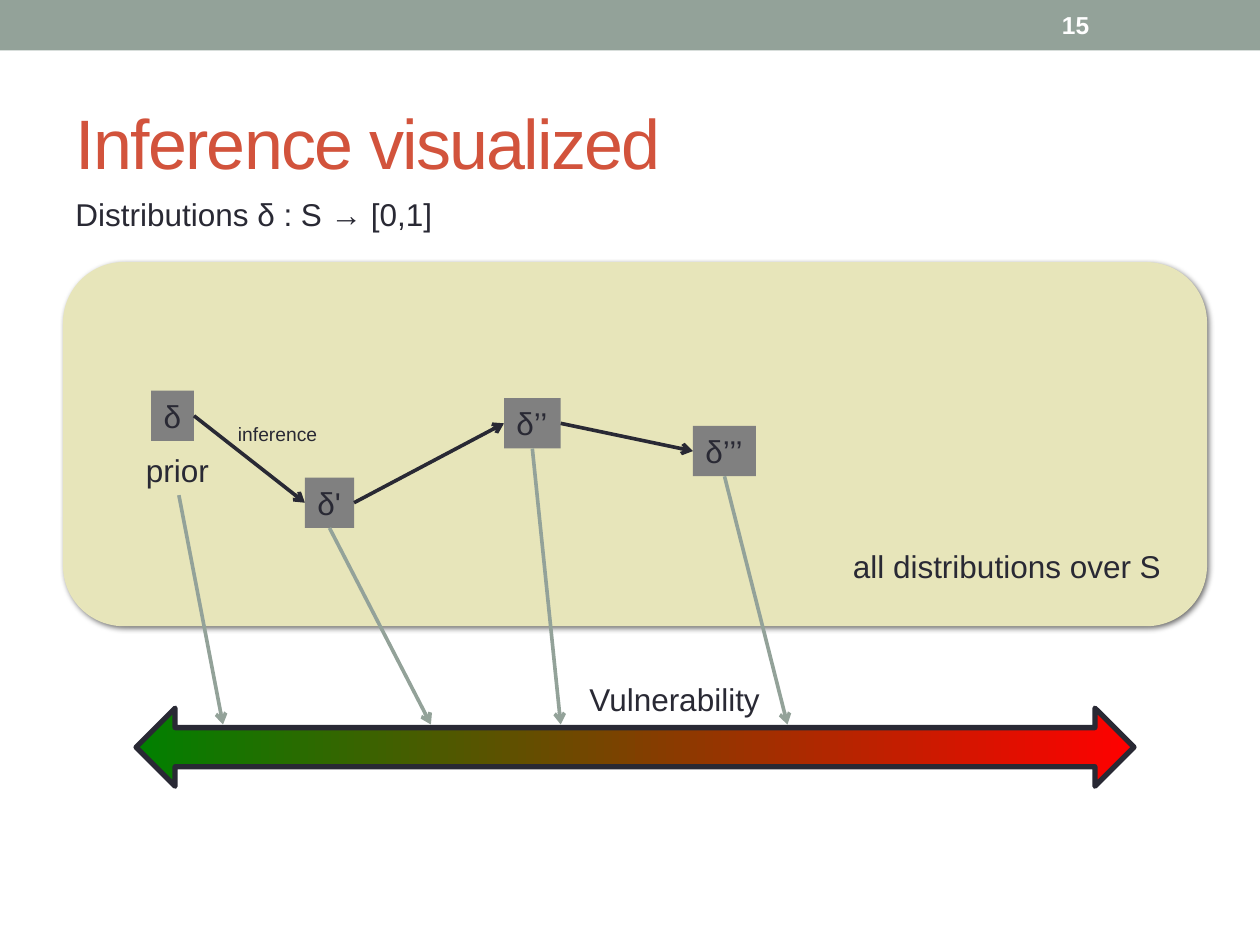
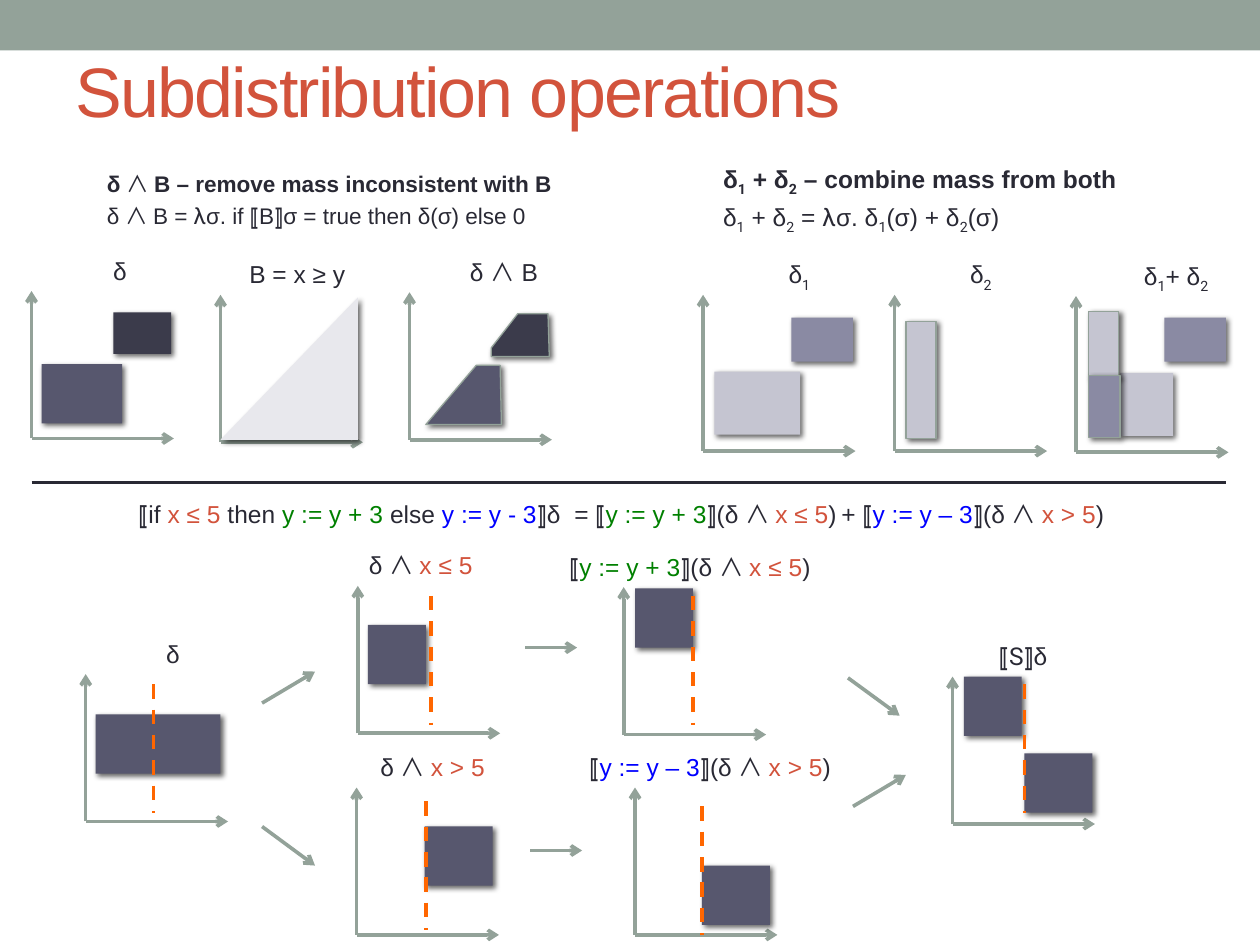
from lxml.etree import SubElement as Sub
from pptx import Presentation
from pptx.dml.color import RGBColor as Rgb
from pptx.enum.dml import MSO_LINE as Dash
from pptx.enum.shapes import MSO_CONNECTOR as Link, MSO_SHAPE as Geo
from pptx.enum.text import MSO_ANCHOR as Anchor, MSO_AUTO_SIZE as Auto, PP_ALIGN as Align
from pptx.oxml.ns import qn
from pptx.util import Inches, Pt

INK = {
    "text": "292934", "title": "D2533C", "band": "93A299", "white": "FFFFFF",
    "space": "E7E5BA", "node": "808080", "safe": "008000", "risk": "FF0000",
    "blue": "0000FF", "cut": "FF6600", "slate": "57576E", "dark": "3B3B4B",
    "mist": "E8E8ED", "pale": "C5C5D1", "mauve": "8A8AA3",
}
STYLES = {
    "red": {"ink": "title"}, "green": {"ink": "safe"}, "blue": {"ink": "blue"},
    "and": {"face": "Noto Sans CJK JP", "bold": False},
    "rob": {"face": "Roboto"}, "sub": {"face": "Roboto", "base": -25000},
}
THICK, THIN = 2.08, 0.75
SIZE = (10, 7.5)

# Slide 1: text, left, top, width, and where its drop meets the scale
NODES = [
    ("δ", 1.2, 3.1, 0.34, 1.77), ("δ'", 2.42, 3.79, 0.39, 3.42),
    ("δ’’", 4, 3.16, 0.45, 4.45), ("δ’’’", 5.5, 3.38, 0.5, 6.25),
]
NOTES = [
    ("Distributions δ : S → [0,1]", 0.5, 1.5, 9, 18),
    ("all distributions over S", 6.67, 4.29, 2.67, 18),
    ("inference", 1.79, 3.3, 0.84, 11),
    ("Vulnerability", 4.58, 5.35, 1.58, 18),
]

# Slide 2: a run is a string or a (string, style) pair
AND, ONE, TWO = ("∧ ", "and"), ("1", "sub"), ("2", "sub")
LOW, HIGH = ("x ≤ 5", "red"), ("x > 5", "red")
KEEP_LOW, KEEP_HIGH = ["δ ", AND, LOW], ["δ ", AND, HIGH]
RUN_LOW = ["⟦", ("y := y + 3", "green"), "⟧(", *KEEP_LOW, ")"]
RUN_HIGH = ["⟦", ("y := y – 3", "blue"), "⟧(", *KEEP_HIGH, ")"]
RULES = [  # left, width, top, size, heading, definition
    (0.75, 3.87, 1.3, 12.9,
     ["δ ", AND, "B – remove mass inconsistent with B"],
     ["δ ", AND, "B = ", ("λ", "rob"), "σ. if ⟦B⟧σ = true then δ(σ) else 0"]),
    (5.64, 4.03, 1.25, 14,
     ["δ", ONE, " + δ", TWO, " – combine mass from both"],
     ["δ", ONE, " + δ", TWO, " = ", ("λ", "rob"), "σ. δ", ONE, "(σ) + δ", TWO, "(σ)"]),
]
TERMS = [  # left, width, runs
    (1, 3.58, ["⟦if ", ("x ≤ 5 ", "red"), "then ", ("y := y + 3 ", "green"),
               "else ", ("y := y - 3", "blue"), "⟧δ"]),
    (4.46, 4.27, ["= ", *RUN_LOW]),
    (6.58, 2.66, ["+ ", *RUN_HIGH]),
]
# Plots: axes origin, axes size, label left and width, label.
# Marks count right and up from the origin: left, top, width, height, fill, edged.
SMALL, LARGE = (1.13, 1.17), (1.21, 1.24)
PLOTS = [
    {"at": (0.25, 3.48), "axes": SMALL, "label": (0.8, 0.31, ["δ"]),
     "boxes": [(0.08, 0.59, 0.64, 0.47, "slate", 0), (0.65, 1, 0.46, 0.33, "dark", 0)]},
    {"at": (1.75, 3.51), "axes": SMALL, "label": (1.88, 0.99, ["B = x ≥ y"]),
     "wedge": (-0.02, 1.13, 1.13, 1.09, "mist", 0)},
    {"at": (3.25, 3.49), "axes": SMALL, "label": (3.63, 0.75, ["δ ", ("∧", "and"), " B"]),
     "shards": [("slate", [(0.13, 0.12), (0.53, 0.59), (0.72, 0.59), (0.73, 0.12)]),
                ("dark", [(0.65, 0.73), (0.65, 0.66), (1.11, 0.66), (1.1, 1), (0.86, 1)])]},
    {"at": (5.58, 3.58), "axes": LARGE, "label": (6.16, 0.38, ["δ", ONE]),
     "boxes": [(0.09, 0.63, 0.68, 0.5, "pale", 0), (0.7, 1.06, 0.49, 0.35, "mauve", 0)]},
    {"at": (7.1, 3.58), "axes": LARGE, "label": (7.6, 0.38, ["δ", TWO]),
     "boxes": [(0.09, 1.03, 0.24, 0.93, "pale", 1)]},
    {"at": (8.54, 3.59), "axes": LARGE, "label": (8.98, 0.74, ["δ", ONE, "+ δ", TWO]),
     "boxes": [(0.35, 0.63, 0.42, 0.5, "pale", 0), (0.7, 1.07, 0.49, 0.35, "mauve", 0),
               (0.1, 1.12, 0.24, 0.52, "pale", 1), (0.1, 0.61, 0.25, 0.49, "mauve", 1)]},
    {"at": (0.68, 6.52), "axes": SMALL, "label": (1.22, 0.31, ["δ"]),
     "boxes": [(0.08, 0.85, 0.99, 0.47, "slate", 0)], "cut": (0.54, 1.09)},
    {"at": (2.84, 5.82), "axes": SMALL, "label": (2.83, 1.04, KEEP_LOW),
     "boxes": [(0.08, 0.86, 0.46, 0.47, "slate", 0)], "cut": (0.58, 1.09)},
    {"at": (2.83, 7.42), "axes": SMALL, "label": (2.92, 1.05, KEEP_HIGH),
     "boxes": [(0.54, 0.86, 0.54, 0.47, "slate", 0)], "cut": (0.55, 1.06)},
    {"at": (4.95, 5.83), "axes": SMALL, "label": (4.42, 2.14, RUN_LOW),
     "boxes": [(0.09, 1.16, 0.46, 0.47, "slate", 0)], "cut": (0.55, 1.1)},
    {"at": (5.04, 7.42), "axes": SMALL, "label": (4.58, 2.15, RUN_HIGH),
     "boxes": [(0.53, 0.55, 0.54, 0.47, "slate", 0)], "cut": (0.53, 1.02)},
    {"at": (7.56, 6.54), "axes": SMALL, "label": (7.83, 0.61, ["⟦", ("S", "rob"), "⟧δ"]),
     "boxes": [(0.09, 1.17, 0.46, 0.47, "slate", 0), (0.57, 0.56, 0.54, 0.47, "slate", 0)],
     "cut": (0.57, 1.11)},
]
STEPS = [  # start and end of each arrow between plots
    (2.08, 5.58, 2.5, 5.33), (2.08, 6.56, 2.5, 6.87),
    (4.17, 5.14, 4.58, 5.14), (4.21, 6.75, 4.62, 6.75),
    (6.73, 5.38, 7.14, 5.68), (6.77, 6.4, 7.19, 6.15),
]
CUT = 1.02


def rgb(name):
    return Rgb.from_string(INK[name])


def inch(*vals):
    return [Inches(v) for v in vals]


def add_run(para, text, size, ink="text", face="Arial", bold=False, base=0):
    run = para.add_run()
    run.text = text
    font = run.font
    font.size, font.bold, font.name = Pt(size), bold, face
    font.color.rgb = rgb(ink)
    props = run._r.get_or_add_rPr()
    Sub(props, qn("a:ea"), typeface=face)
    if base:
        props.set("baseline", str(base))
    return run


def write(para, runs, size, **kw):
    for part in runs:
        text, style = (part, None) if isinstance(part, str) else part
        add_run(para, text, size, **{**kw, **STYLES.get(style, {})})


def add_text(slide, box, runs, size, wrap=False, **kw):
    frame = slide.shapes.add_textbox(*inch(*box)).text_frame
    frame.word_wrap = wrap
    write(frame.paragraphs[0], runs, size, **kw)
    return frame


def cast(shape):
    """Give the shape a soft shadow to the lower right."""
    fx = shape._element.spPr.find(qn("a:effectLst"))
    drop = Sub(fx, qn("a:outerShdw"), blurRad=str(Pt(3)), dist=str(Pt(2)),
               dir=str(45 * 60000), algn="ctr", rotWithShape="0")
    Sub(Sub(drop, qn("a:srgbClr"), val="000000"), qn("a:alpha"), val="60000")


def paint(shape, fill, edged=False, shade=False):
    shape.shadow.inherit = False
    shape.fill.solid()
    shape.fill.fore_color.rgb = rgb(fill)
    if edged:
        shape.line.color.rgb = rgb("band")
        shape.line.width = Pt(THIN)
    else:
        shape.line.fill.background()
    if shade:
        cast(shape)
    return shape


def add_box(slide, box, fill, geo=Geo.RECTANGLE, **kw):
    return paint(slide.shapes.add_shape(geo, *inch(*box)), fill, **kw)


def add_line(slide, ends, ink="band", head=True, dash=False):
    link = slide.shapes.add_connector(Link.STRAIGHT, *inch(*ends))
    link.line.color.rgb = rgb(ink)
    link.line.width = Pt(THICK)
    if dash:
        link.line.dash_style = Dash.DASH
    if head:
        Sub(link.line._get_or_add_ln(), qn("a:tailEnd"), type="arrow")
    Sub(link._element.spPr, qn("a:effectLst"))
    return link


def add_slide(prs, title, top):
    """Start a slide with the shared band and title style."""
    slide = prs.slides.add_slide(prs.slide_layouts[5])
    add_box(slide, (0, 0, SIZE[0], 0.4), "band")
    head = slide.shapes.title
    head.left, head.top, head.width, head.height = inch(0.5, top, 9, 1.08)
    frame = head.text_frame
    frame.auto_size, frame.vertical_anchor = Auto.NONE, Anchor.MIDDLE
    para = frame.paragraphs[0]
    para.alignment = Align.LEFT
    run = add_run(para, title, 40, "title")
    run._r.get_or_add_rPr().set("spc", "-100")
    return slide


def add_node(slide, text, left, top, width):
    node = add_box(slide, (left, top, width, 0.4), "node")
    frame = node.text_frame
    frame.word_wrap, frame.vertical_anchor = False, Anchor.MIDDLE
    frame.paragraphs[0].alignment = Align.LEFT
    write(frame.paragraphs[0], [text], 18)
    return node


def add_scale(slide):
    bar = slide.shapes.add_shape(Geo.LEFT_RIGHT_ARROW, *inch(1.08, 5.62, 7.92, 0.62))
    bar.shadow.inherit = False
    bar.fill.gradient()
    bar.fill.gradient_angle = 0
    for stop, ink, place in zip(bar.fill.gradient_stops, ("safe", "risk"), (0, 1)):
        stop.color.rgb, stop.position = rgb(ink), place
    bar.line.color.rgb, bar.line.width = rgb("text"), Pt(3)


def draw_flow(prs):
    slide = add_slide(prs, "Inference visualized", 0.58)
    page = add_text(slide, (8.33, 0.02, 1.17, 0.36), ["15"], 14, ink="white", bold=True)
    page.vertical_anchor = Anchor.MIDDLE
    add_box(slide, (0.5, 2.08, 9.08, 2.89), "space", Geo.ROUNDED_RECTANGLE, shade=True)
    add_scale(slide)
    for text, left, top, width, size in NOTES:
        add_text(slide, (left, top, width, 0.4), [text], size)
    add_text(slide, (1.06, 3.53, 0.71, 0.4), ["prior"], 18)
    nodes = [add_node(slide, *node[:4]) for node in NODES]
    for here, after in zip(nodes, nodes[1:]):
        link = add_line(slide, (0, 0, 1, 1), "text")
        link.begin_connect(here, 3)
        link.end_connect(after, 1)
    for i, (_, left, top, width, goal) in enumerate(NODES):
        start = (left + width / 2, top + 0.4) if i else (1.42, 3.93)
        add_line(slide, (*start, goal, 5.75))


def draw_plot(slide, plot):
    x, y = plot["at"]
    wide, tall = plot["axes"]
    add_line(slide, (x, y, x, y - tall))
    add_line(slide, (x, y, x + wide, y))
    left, width, runs = plot["label"]
    add_text(slide, (left, y - tall - 0.33, width, 0.34), runs, 14)

    def place(mark, geo=Geo.RECTANGLE):
        dx, up, w, h, fill, edged = mark
        return add_box(slide, (x + dx, y - up, w, h), fill, geo, edged=edged, shade=True)

    for mark in plot.get("boxes", []):
        place(mark)
    if "wedge" in plot:
        place(plot["wedge"], Geo.RIGHT_TRIANGLE).rotation = 270
    for fill, dots in plot.get("shards", []):
        first, *rest = [inch(x + dx, y - up) for dx, up in dots]
        pen = slide.shapes.build_freeform(*first)
        pen.add_line_segments(rest, close=True)
        paint(pen.convert_to_shape(), fill, edged=True, shade=True)
    if "cut" in plot:
        dx, up = plot["cut"]
        add_line(slide, (x + dx, y - up, x + dx, y - up + CUT), "cut", head=False, dash=True)


def draw_rules(prs):
    slide = add_slide(prs, "Subdistribution operations", 0.17)
    for left, width, top, size, head, body in RULES:
        frame = add_text(slide, (left, top, width, 0.75), head, size, wrap=True, bold=True)
        para = frame.add_paragraph()
        write(para, body, size)
        for item in frame.paragraphs:
            item.space_before = Pt(size / 5)
    for left, width, runs in TERMS:
        add_text(slide, (left, 3.91, width, 0.34), runs, 14)
    for plot in PLOTS:
        draw_plot(slide, plot)
    for ends in STEPS:
        add_line(slide, ends)
    add_line(slide, (0.25, 3.83, 9.73, 3.83), "text", head=False)


def main():
    prs = Presentation()
    prs.slide_width, prs.slide_height = inch(*SIZE)
    draw_flow(prs)
    draw_rules(prs)
    prs.save("out.pptx")


if __name__ == "__main__":
    main()
